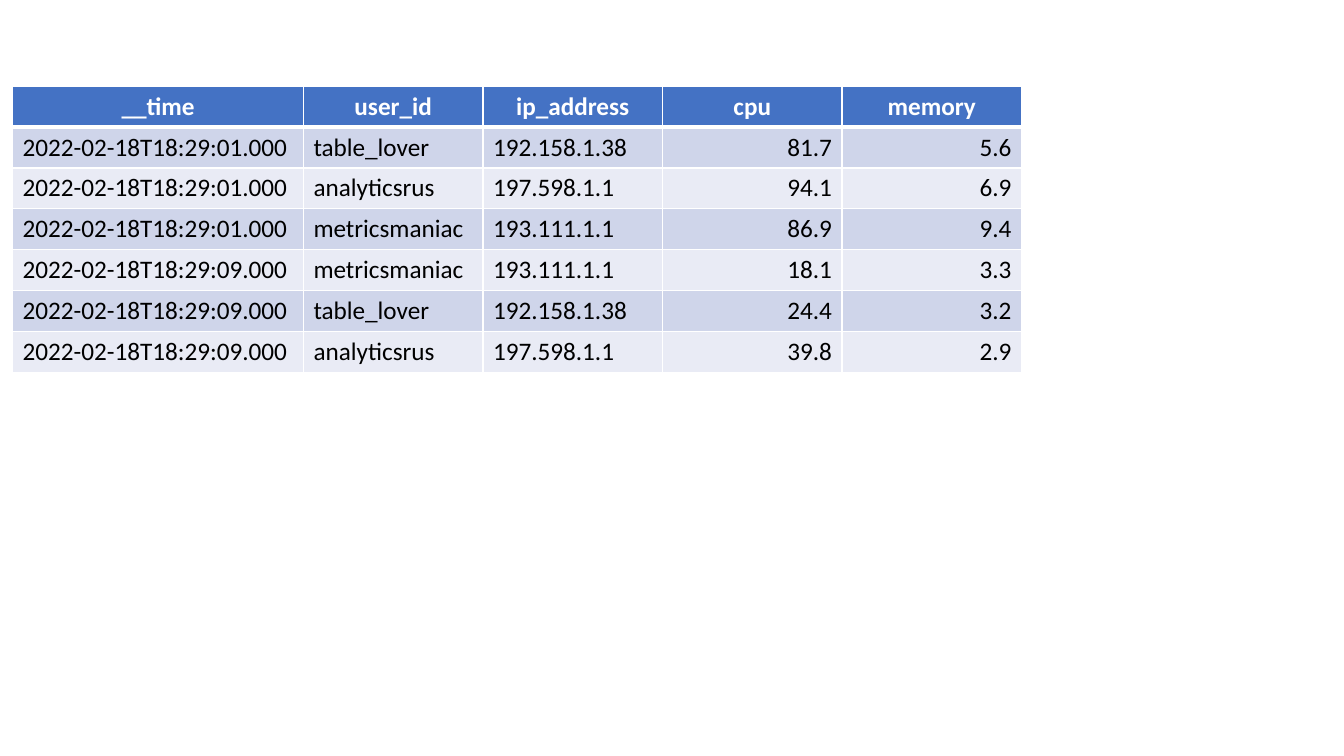
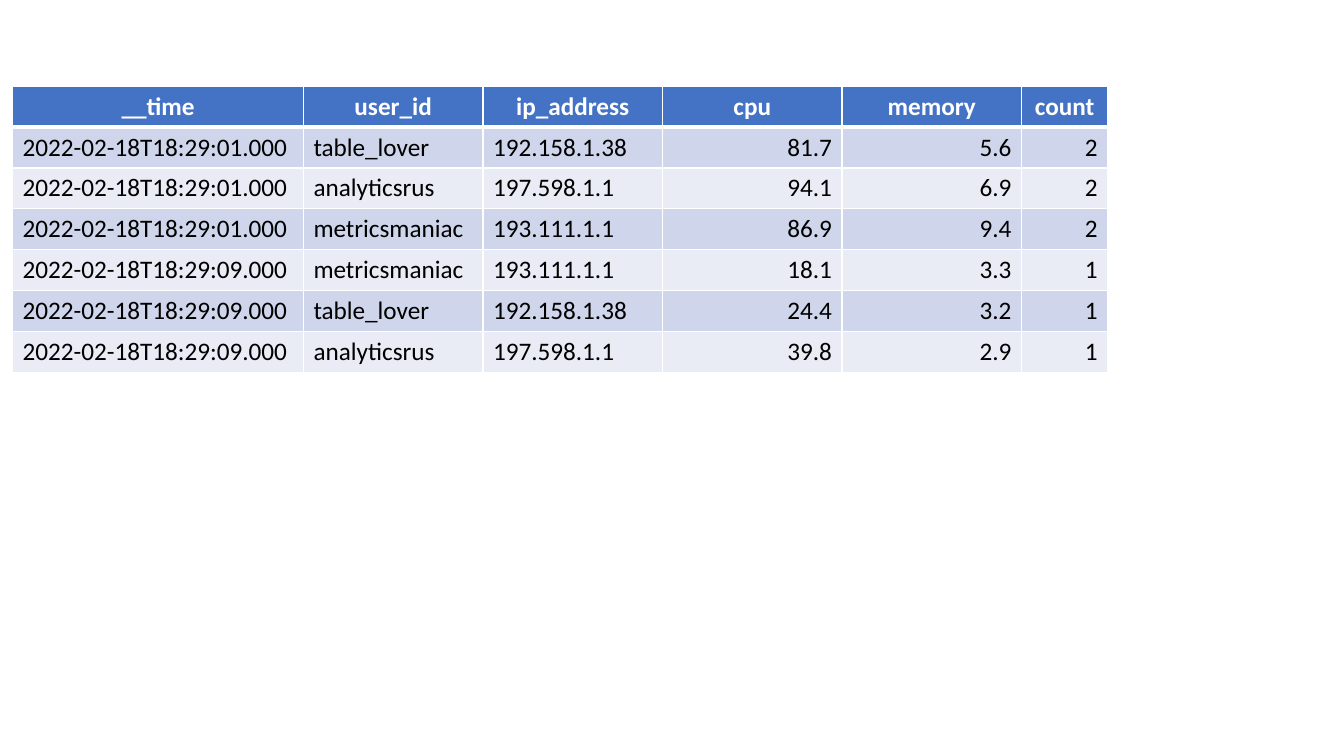
from lxml import etree
from pptx import Presentation
from pptx import util as u
from pptx.dml import color
from pptx.enum import text
from pptx.oxml import ns

PX = 9525
ALIGN = text.PP_ALIGN
HEADER = {"size": u.Pt(18), "name": "Calibri", "bold": True}
BODY = {**HEADER, "bold": False}

COLUMNS = [
    ("__time", 277, ALIGN.LEFT),
    ("user_id", 171, ALIGN.LEFT),
    ("ip_address", 171, ALIGN.LEFT),
    ("cpu", 171, ALIGN.RIGHT),
    ("memory", 171, ALIGN.RIGHT),
    ("count", 82, ALIGN.RIGHT),
]
READINGS = [
    ("2022-02-18T18:29:01.000", "table_lover", "192.158.1.38", "81.7", "5.6", "2"),
    ("2022-02-18T18:29:01.000", "analyticsrus", "197.598.1.1", "94.1", "6.9", "2"),
    ("2022-02-18T18:29:01.000", "metricsmaniac", "193.111.1.1", "86.9", "9.4", "2"),
    ("2022-02-18T18:29:09.000", "metricsmaniac", "193.111.1.1", "18.1", "3.3", "1"),
    ("2022-02-18T18:29:09.000", "table_lover", "192.158.1.38", "24.4", "3.2", "1"),
    ("2022-02-18T18:29:09.000", "analyticsrus", "197.598.1.1", "39.8", "2.9", "1"),
]


def px(length):
    """Turn whole pixels into EMU."""
    return u.Emu(length * PX)


def rgb(value):
    """Turn a hex string into a colour."""
    return color.RGBColor.from_string(value)


class Deck:
    """Hold the table style and the current slide."""

    white, black, blue = "FFFFFF", "000000", "4472C4"
    bands = ("CFD5EA", "E9EBF5")
    left, top, row_height = 12, 82, 39

    def __init__(self):
        """Start a widescreen presentation."""
        self.prs = Presentation()
        self.prs.slide_width, self.prs.slide_height = px(1280), px(720)
        self.slide = None

    def add_slide(self):
        """Make a blank slide the current one."""
        self.slide = self.prs.slides.add_slide(self.prs.slide_layouts[6])

    def borders(self, cell, top, bottom):
        """Draw white cell borders with widths in points."""
        properties = cell._tc.get_or_add_tcPr()
        for side, width in (("L", 1), ("R", 1), ("T", top), ("B", bottom)):
            line = etree.SubElement(properties, ns.qn(f"a:ln{side}"), w=str(u.Pt(width)))
            solid = etree.SubElement(line, ns.qn("a:solidFill"))
            etree.SubElement(solid, ns.qn("a:srgbClr"), val=self.white)

    def cell(self, cell, wording, fill, ink, align, style):
        """Write one filled cell."""
        cell.fill.solid()
        cell.fill.fore_color.rgb = rgb(fill)
        paragraph = cell.text_frame.paragraphs[0]
        paragraph.alignment = align
        run = paragraph.add_run()
        run.text = wording
        run.font.color.rgb = rgb(ink)
        for attribute, value in style.items():
            setattr(run.font, attribute, value)

    def table(self, columns, readings):
        """Draw a header row above banded readings."""
        rows = len(readings) + 1
        width = sum(column[1] for column in columns)
        grid = self.slide.shapes.add_table(
            rows, len(columns), px(self.left), px(self.top),
            px(width), px(rows * self.row_height)).table
        for row in grid.rows:
            row.height = px(self.row_height)
        for c, (heading, column_width, align) in enumerate(columns):
            grid.columns[c].width = px(column_width)
            header = grid.cell(0, c)
            self.borders(header, 1, 3)
            self.cell(header, heading, self.blue, self.white, ALIGN.CENTER, HEADER)
            for r, reading in enumerate(readings):
                entry = grid.cell(r + 1, c)
                self.borders(entry, 1 if r else 3, 1)
                self.cell(entry, reading[c], self.bands[r % 2], self.black, align, BODY)


def main():
    """Build the readings without and with their count."""
    deck = Deck()
    for columns in (COLUMNS[:-1], COLUMNS):
        deck.add_slide()
        deck.table(columns, READINGS)
    deck.prs.save("out.pptx")


if __name__ == "__main__":
    main()
